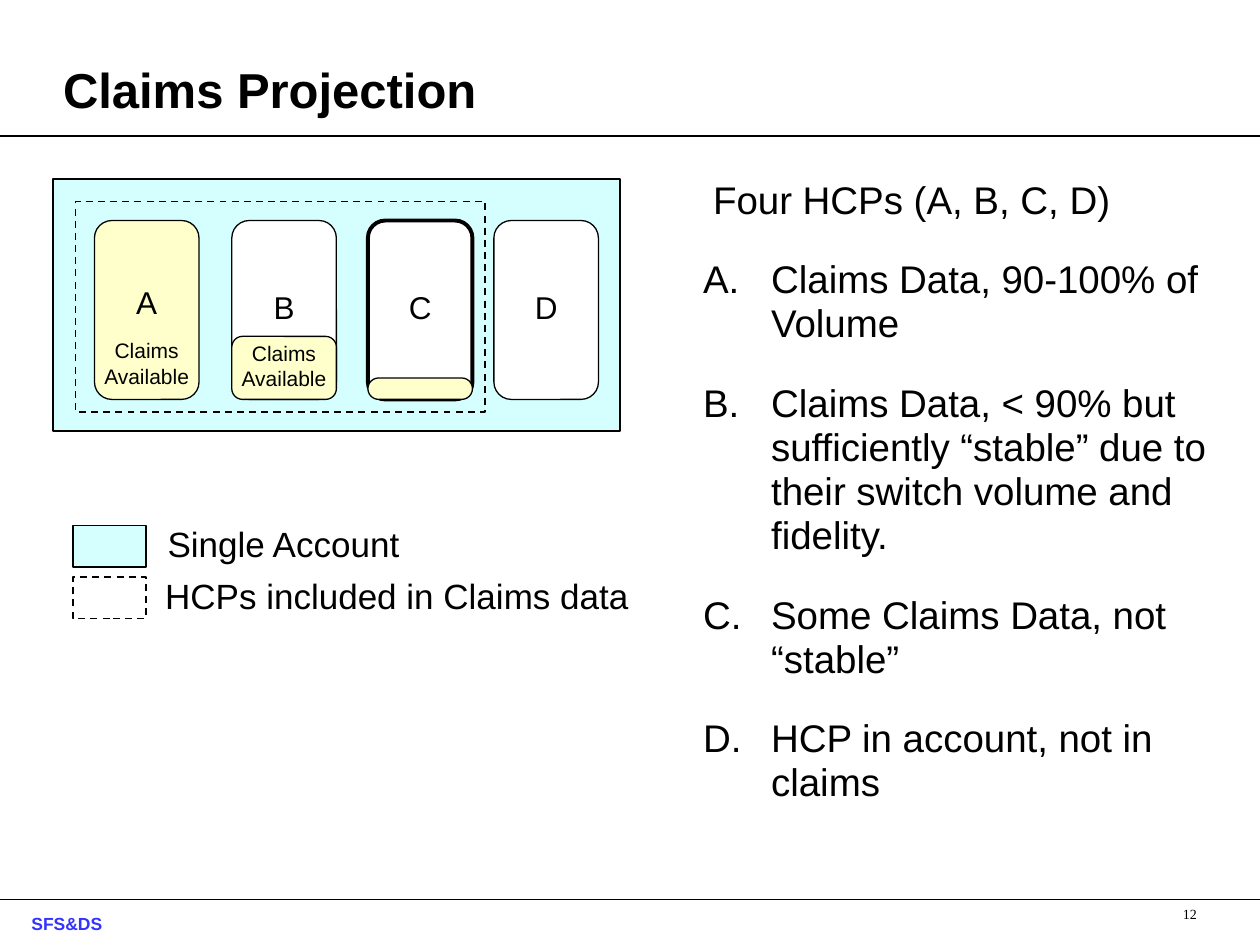
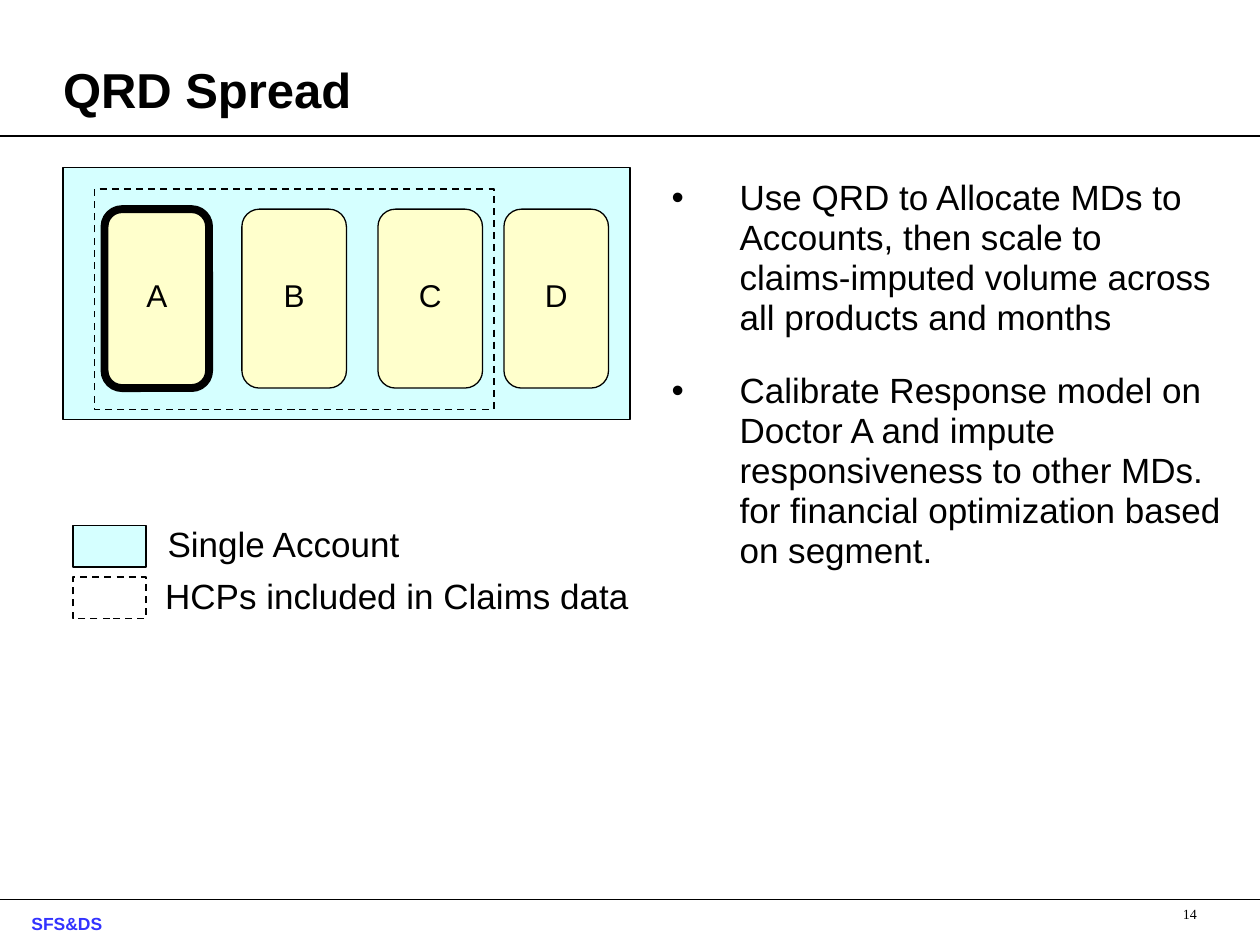
import pptx
import pptx.util
import pptx.dml.color
import pptx.enum.dml
import pptx.enum.shapes
import pptx.enum.text
import pptx.oxml.ns
from lxml import etree

Inches, Pt = pptx.util.Inches, pptx.util.Pt
RGBColor = pptx.dml.color.RGBColor
Anchor = pptx.enum.text.MSO_ANCHOR
Align = pptx.enum.text.PP_ALIGN
Preset = pptx.enum.shapes.MSO_SHAPE

# Content: boxes are (left, top, width, height) in inches
SLIDES = [
    {
        "title": "Claims Projection",
        "number": "12",
        "account": (0.42, 1.42, 4.5, 2),
        "claims_area": (0.6, 1.6, 3.25, 1.67),
        # letter, height of the card's claims share, text on that share, line width
        "cards": [
            ("A", 1.42, ["Claims", "Available"], 0.75),
            ("B", 0.5, ["Claims", "Available"], 0.75),
            ("C", 0.17, [], 2.25),
            ("D", 0, [], 0.75),
        ],
        "heading": "Four HCPs (A, B, C, D)",
        "points": [
            "Claims Data, 90-100% of Volume",
            "Claims Data, < 90% but sufficiently “stable” due to their switch volume and fidelity.",
            "Some Claims Data, not “stable”",
            "HCP in account, not in claims",
        ],
        "points_box": (5.58, 1.42, 4.25, 5.5),
        "bullet": ("buAutoNum", {"type": "alphaUcPeriod"}),
        "points_size": 22,
        "points_gap": 20.6,
    },
    {
        "title": "QRD Spread",
        "number": "14",
        "account": (0.5, 1.33, 4.5, 2),
        "claims_area": (0.75, 1.5, 3.17, 1.75),
        "cards": [
            ("A", 1.42, [], 4.5),
            ("B", 1.42, [], 0.75),
            ("C", 1.42, [], 0.75),
            ("D", 1.42, [], 0.75),
        ],
        "heading": None,
        "points": [
            "Use QRD to Allocate MDs to Accounts, then scale to\v"
            "claims-imputed volume across all products and months",
            "Calibrate Response model on Doctor A and impute responsiveness to other MDs. "
            "for financial optimization based on segment.",
        ],
        "points_box": (5.33, 1.42, 4.5, 5.5),
        "bullet": ("buChar", {"char": "•"}),
        "points_size": 20,
        "points_gap": 18.7,
    },
]
FOOTER = "SFS&DS"
RULE_TOPS = (1.08, 7.14)

# Shared look
BLACK = RGBColor(0x00, 0x00, 0x00)
WHITE = RGBColor(0xFF, 0xFF, 0xFF)
ACCOUNT_BLUE = RGBColor(0xD5, 0xFF, 0xFF)
CLAIMS_YELLOW = RGBColor(0xFF, 0xFF, 0xCC)
FOOTER_BLUE = RGBColor(0x33, 0x33, 0xFF)
CARD_OFFSETS = (0.33, 1.42, 2.5, 3.5)
CARD_TOP, CARD_WIDTH, CARD_HEIGHT = 0.33, 0.83, 1.42
HANGING = 0.54

# Legend: label, label left, top, fill, dashed
LEGEND = [
    ("HCPs included in Claims data", 1.31, 4.58, None, True),
    ("Single Account", 1.33, 4.17, ACCOUNT_BLUE, False),
]


def inches(box):
    return [Inches(length) for length in box]


def write(frame, text, size=18, font="Arial", color=BLACK, bold=False, align=Align.LEFT,
          spacing=0.95, before=0, anchor=Anchor.TOP, insets=(0, 0, 0, 0), wrap=True,
          indent=0, bullet=None, more=False):
    """Write one paragraph; with more=True, append it to those already there."""
    frame.word_wrap = wrap
    frame.auto_size = pptx.enum.text.MSO_AUTO_SIZE.NONE
    frame.vertical_anchor = anchor
    (frame.margin_left, frame.margin_top,
     frame.margin_right, frame.margin_bottom) = inches(insets)
    paragraph = frame.add_paragraph() if more else frame.paragraphs[0]
    paragraph.text = text
    paragraph.alignment = align
    paragraph.line_spacing = spacing
    paragraph.space_before = Pt(before if more else 0)
    properties = paragraph._p.get_or_add_pPr()
    properties.set("marL", str(Inches(indent)))
    properties.set("indent", str(-Inches(indent) if bullet else 0))
    if bullet:
        tag, attributes = bullet
        etree.SubElement(properties, pptx.oxml.ns.qn("a:buFont"), {"typeface": font})
        etree.SubElement(properties, pptx.oxml.ns.qn("a:" + tag), attributes)
    paragraph.font.size = Pt(size)
    paragraph.font.name = font
    paragraph.font.bold = bold
    paragraph.font.color.rgb = color


def add_label(slide, box, text, **style):
    write(slide.shapes.add_textbox(*inches(box)).text_frame, text, **style)


def add_box(slide, box, fill=None, width=1, dashed=False, preset=Preset.RECTANGLE):
    shape = slide.shapes.add_shape(preset, *inches(box))
    shape.shadow.inherit = False
    if fill is None:
        shape.fill.background()
    else:
        shape.fill.solid()
        shape.fill.fore_color.rgb = fill
    shape.line.color.rgb = BLACK
    shape.line.width = Pt(width)
    if dashed:
        shape.line.dash_style = pptx.enum.dml.MSO_LINE.DASH
    return shape


def add_frame(slide, title, number):
    """Title, rules, footer and slide number."""
    heading = slide.shapes.title
    heading.left, heading.top, heading.width, heading.height = inches((0.5, 0.25, 9, 0.75))
    write(heading.text_frame, title, size=28, bold=True, spacing=Pt(41),
          anchor=Anchor.BOTTOM, insets=(0, 0, 0, 0.06))
    for top in RULE_TOPS:
        rule = slide.shapes.add_connector(
            pptx.enum.shapes.MSO_CONNECTOR.STRAIGHT, *inches((0, top, 10, top)))
        rule.line.color.rgb = BLACK
        rule.line.width = Pt(1)
        etree.SubElement(rule._element.spPr, pptx.oxml.ns.qn("a:effectLst"))
    add_label(slide, (0.25, 7.26, 3.17, 0.24), FOOTER, size=10, bold=True, color=FOOTER_BLUE)
    add_label(slide, (8.78, 7.2, 0.72, 0.28), number, size=8, font="Times New Roman",
              align=Align.RIGHT)


def add_card(slide, left, top, letter, claims, claims_text, width):
    """One HCP card, with its claims share filled from the bottom."""
    full = claims == CARD_HEIGHT
    card = add_box(slide, (left, top, CARD_WIDTH, CARD_HEIGHT),
                   CLAIMS_YELLOW if full else WHITE, width, preset=Preset.ROUNDED_RECTANGLE)
    centred = {"align": Align.CENTER, "spacing": 0.8, "wrap": False,
               "anchor": Anchor.MIDDLE, "insets": (0.1, 0.05, 0.1, 0.05)}
    if full and claims_text:
        centred["anchor"] = Anchor.BOTTOM
    write(card.text_frame, letter, **centred)
    holder = card
    if 0 < claims < CARD_HEIGHT:
        holder = add_box(slide, (left, top + CARD_HEIGHT - claims, CARD_WIDTH, claims),
                         CLAIMS_YELLOW, 0.75, preset=Preset.ROUNDED_RECTANGLE)
        holder.adjustments[0] = 0.17 if claims_text else 0.5
    for row, line in enumerate(claims_text):
        write(holder.text_frame, line, size=12, more=full or row > 0,
              before=3 if row else 12.5, **centred)


def add_account(slide, content):
    left, top = content["account"][:2]
    add_box(slide, content["account"], ACCOUNT_BLUE)
    add_box(slide, content["claims_area"], dashed=True)
    for offset, card in zip(CARD_OFFSETS, content["cards"]):
        add_card(slide, left + offset, top + CARD_TOP, *card)


def add_legend(slide):
    for label, left, top, fill, dashed in LEGEND:
        add_box(slide, (0.58, top, 0.58, 0.33), fill, dashed=dashed)
        add_label(slide, (left, top, 3.68, 0.32), label, size=20, wrap=False)


def add_points(slide, content):
    frame = slide.shapes.add_textbox(*inches(content["points_box"])).text_frame
    style = {"size": content["points_size"], "before": content["points_gap"],
             "insets": (0, 0, 0.12, 0)}
    heading = content["heading"]
    if heading:
        write(frame, heading, indent=0.08, **style)
    for row, point in enumerate(content["points"]):
        write(frame, point, indent=HANGING, bullet=content["bullet"],
              more=bool(heading) or row > 0, **style)


def main():
    deck = pptx.Presentation()
    deck.slide_width, deck.slide_height = Inches(10), Inches(7.5)
    title_only = deck.slide_layouts[5]
    for content in SLIDES:
        slide = deck.slides.add_slide(title_only)
        add_frame(slide, content["title"], content["number"])
        add_account(slide, content)
        add_legend(slide)
        add_points(slide, content)
    deck.save("out.pptx")


if __name__ == "__main__":
    main()
